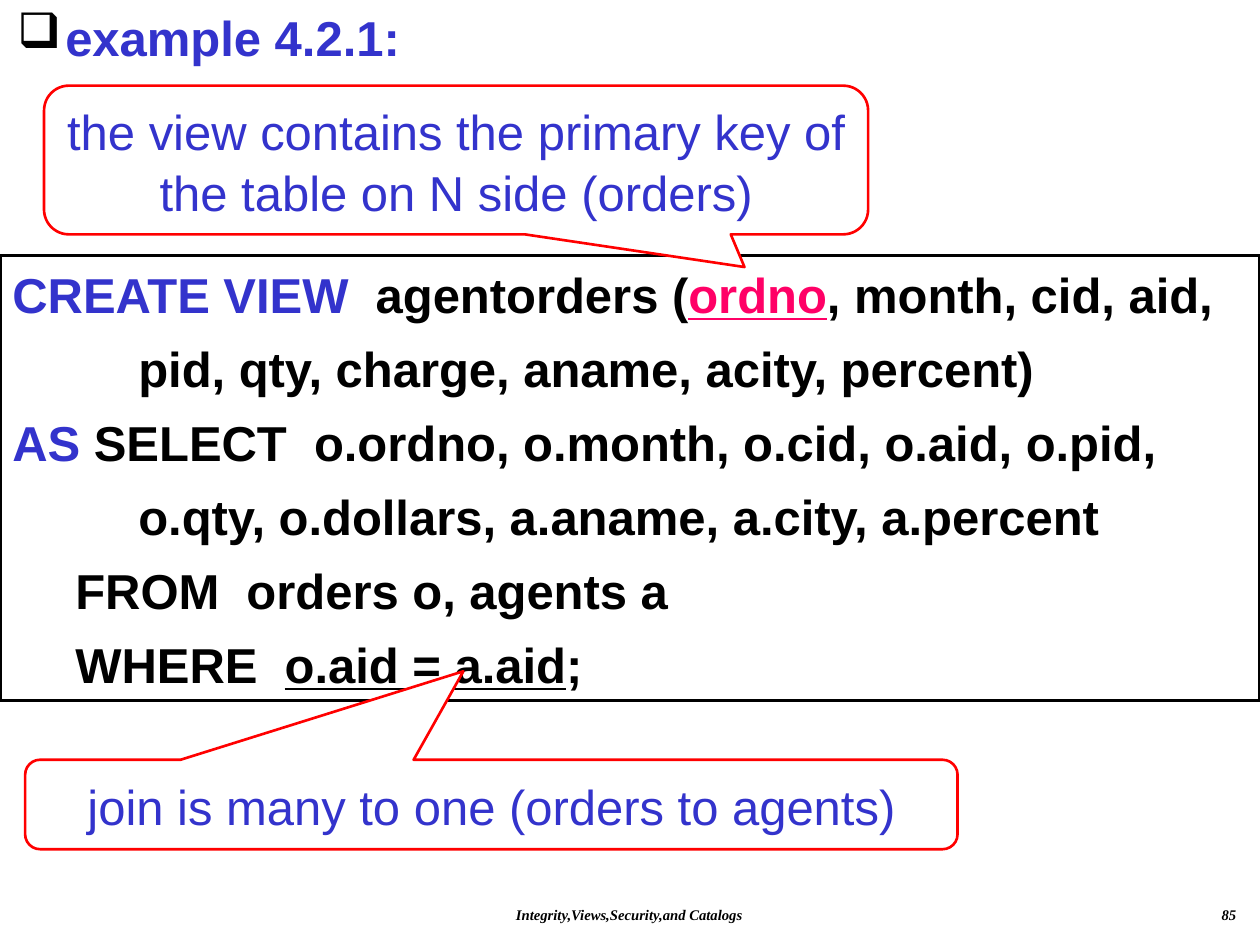
from lxml import etree
from pptx import Presentation, util as u
from pptx.dml import color
from pptx.enum import shapes, text
from pptx.oxml import ns

COLS, ROWS = 100, 75
BLUE, BLACK, RED, PINK, WHITE = "3333CC", "000000", "FF0000", "FF0066", "FFFFFF"

prs = Presentation()
prs.slide_width, prs.slide_height = u.Inches(10), u.Inches(7.5)


def rgb(value):
    return color.RGBColor.from_string(value)


def grid(col, row, cols, rows):
    cell_w, cell_h = prs.slide_width / COLS, prs.slide_height / ROWS
    return int(col * cell_w), int(row * cell_h), int(cols * cell_w), int(rows * cell_h)


def add_run(p, words, ink, size=28, font="Arial", bold=False, italic=False, underline=False):
    r = p.add_run()
    r.text = words
    f = r.font
    f.name, f.size, f.bold, f.italic = font, u.Pt(size), bold, italic
    f.underline = underline
    f.color.rgb = rgb(ink)


def indent(p, left, hanging):
    pPr = p._p.get_or_add_pPr()
    pPr.set("marL", str(u.Inches(left)))
    pPr.set("indent", str(u.Inches(-hanging)))
    return pPr


def add_text_box(s, box):
    tf = s.shapes.add_textbox(*box).text_frame
    tf.word_wrap = True
    return tf


def add_outline(s, kind, box, line, width):
    sp = s.shapes.add_shape(kind, *box)
    sp.shadow.inherit = False
    sp.line.color.rgb = rgb(line)
    sp.line.width = u.Pt(width)
    sp.text_frame.word_wrap = True
    return sp


def add_title(s, box, words):
    p = add_text_box(s, box).paragraphs[0]
    pPr = indent(p, 0.38, 0.38)
    bullet_color = etree.SubElement(pPr, ns.qn("a:buClr"))
    etree.SubElement(bullet_color, ns.qn("a:srgbClr")).set("val", BLACK)
    etree.SubElement(pPr, ns.qn("a:buChar")).set("char", "❑")
    p.line_spacing = 0.9
    add_run(p, words, BLUE, bold=True)


def add_query(s, box, lines):
    sp = add_outline(s, shapes.MSO_SHAPE.RECTANGLE, box, BLACK, 2)
    sp.fill.background()
    tf = sp.text_frame
    tf.vertical_anchor = text.MSO_ANCHOR.TOP
    indents = [(0.38, 0.38), (0.81, 0.31), (1.25, 0.25)]
    for i, (level, runs) in enumerate(lines):
        p = tf.add_paragraph() if i else tf.paragraphs[0]
        p.level = level
        p.alignment = text.PP_ALIGN.LEFT
        p.line_spacing = 1.05
        p.space_before = u.Pt(7 if i else 0)
        indent(p, *indents[level])
        for words, ink, underline in runs:
            add_run(p, words, ink, bold=True, underline=underline)


def add_callout(s, box, pointer, words):
    sp = add_outline(s, shapes.MSO_SHAPE.ROUNDED_RECTANGULAR_CALLOUT, box, RED, 1.5)
    sp.fill.solid()
    sp.fill.fore_color.rgb = rgb(WHITE)
    sp.adjustments[0], sp.adjustments[1] = pointer
    sp.text_frame.vertical_anchor = text.MSO_ANCHOR.MIDDLE
    p = sp.text_frame.paragraphs[0]
    p.alignment = text.PP_ALIGN.CENTER
    p.line_spacing = 1.05
    add_run(p, words, BLUE)


def add_footer(s, box, words, align):
    p = add_text_box(s, box).paragraphs[0]
    p.alignment = align
    p.line_spacing = 0.8
    add_run(p, words, BLACK, 8.4, "Times New Roman", bold=True, italic=True)


def main():
    s = prs.slides.add_slide(prs.slide_layouts[6])
    add_footer(s, grid(28.3, 71.7, 43.3, 2.5), "Integrity,Views,Security,and Catalogs",
               text.PP_ALIGN.CENTER)
    add_footer(s, grid(78.3, 71.7, 20.8, 2.5), "85", text.PP_ALIGN.RIGHT)
    add_title(s, grid(0.4, 0.6, 90, 5.4), "example 4.2.1:")
    add_query(s, grid(0, 20.3, 100, 35.3), [
        (0, [("CREATE VIEW", BLUE, False), ("  agentorders (", BLACK, False),
             ("ordno", PINK, True), (", month, cid, aid,", BLACK, False)]),
        (2, [("pid, qty, charge, aname, acity, percent)", BLACK, False)]),
        (0, [("AS", BLUE, False),
             (" SELECT  o.ordno, o.month, o.cid, o.aid, o.pid,", BLACK, False)]),
        (2, [("o.qty, o.dollars, a.aname, a.city, a.percent", BLACK, False)]),
        (1, [("FROM  orders o, agents a", BLACK, False)]),
        (1, [("WHERE  ", BLACK, False), ("o.aid = a.aid", BLACK, True), (";", BLACK, False)]),
    ])
    add_callout(s, grid(2, 60.3, 74, 7.1), (-0.03, -1.49),
                "join is many to one (orders to agents)")
    add_callout(s, grid(3.5, 6.8, 65.4, 11.8), (0.35, 0.72),
                "the view contains the primary key of the table on N side (orders)")
    prs.save("out.pptx")


if __name__ == "__main__":
    main()
